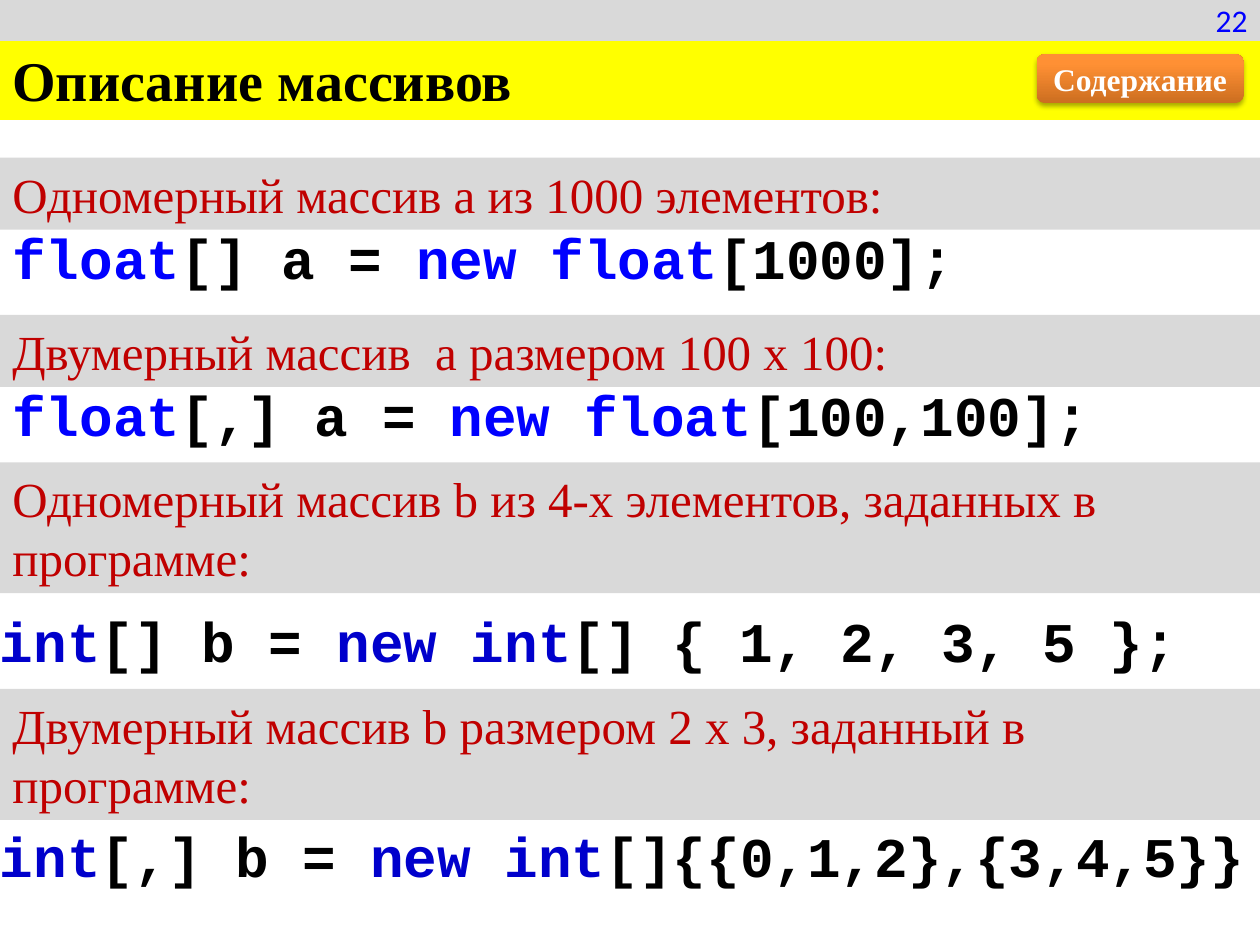
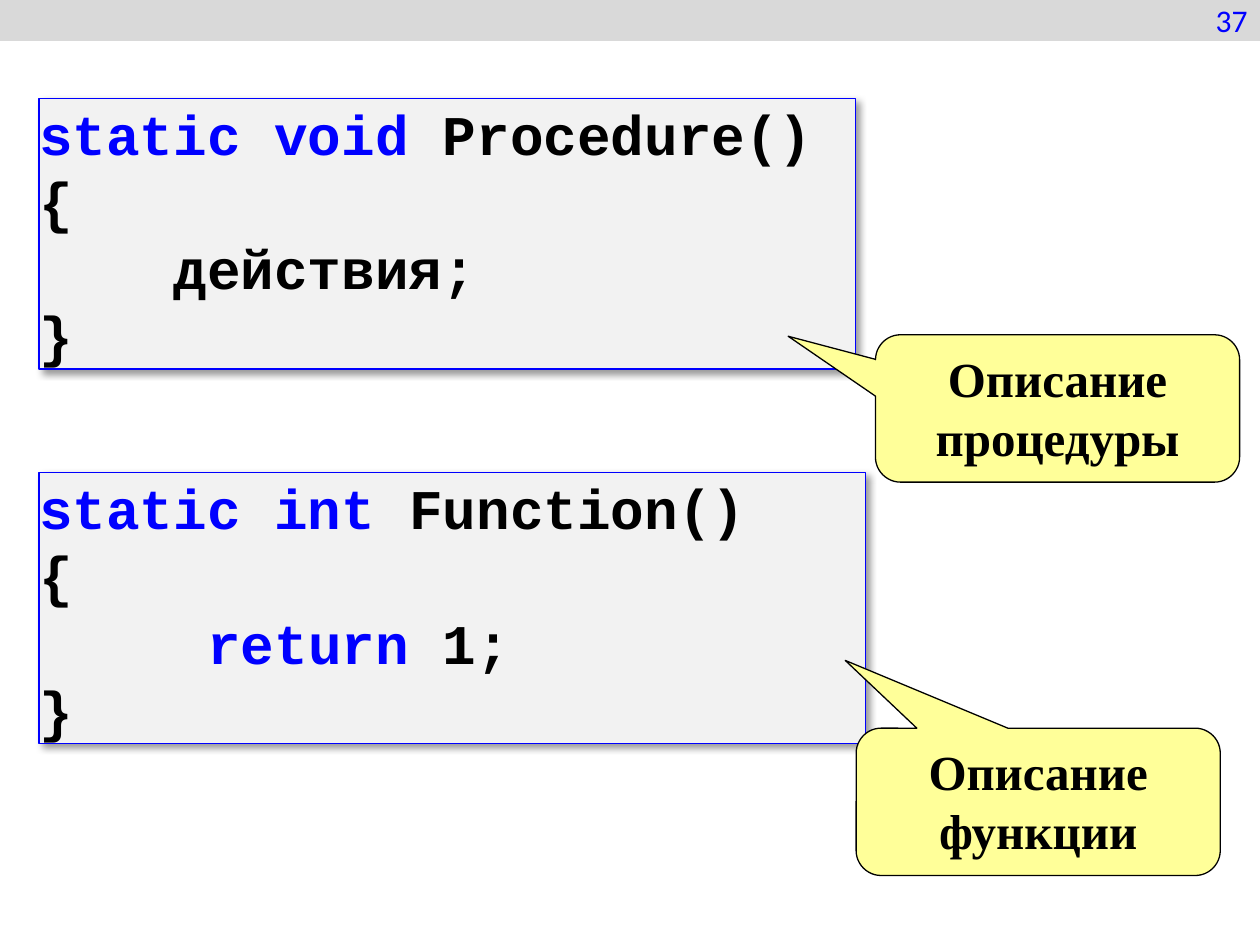
import pptx
import pptx.dml.color
import pptx.enum.shapes
import pptx.enum.text
import pptx.oxml
import pptx.oxml.ns
import pptx.util
from pptx.util import Cm

SHAPES = pptx.enum.shapes.MSO_SHAPE
ALIGN = pptx.enum.text.PP_ALIGN
ANCHOR = pptx.enum.text.MSO_ANCHOR
AUTO_SIZE = pptx.enum.text.MSO_AUTO_SIZE

COLORS = {
    "black": "000000", "white": "FFFFFF", "keyword": "0000FF",
    "dark keyword": "0000CC", "heading": "C00000", "band": "D9D9D9",
    "title": "FFFF00", "code box": "F2F2F2", "callout": "FFFF99",
    "button dark": "CC6E20", "button light": "FF9034",
}
FORMATS = {
    "title": {"name": "Times New Roman", "size": pptx.util.Pt(32), "bold": True},
    "heading": {"name": "Times New Roman", "size": pptx.util.Pt(28), "bold": False},
    "callout": {"name": "Times New Roman", "size": pptx.util.Pt(28), "bold": True},
    "button": {"name": "Times New Roman", "size": pptx.util.Pt(18), "bold": True},
    "number": {"name": "Calibri", "size": pptx.util.Pt(18), "bold": False},
    "code": {"name": "Courier New", "size": pptx.util.Pt(32), "bold": True},
}
WIDTH, HEIGHT = 25.4, 19.05
INSET = (0.25, 0.13)
NO_INSET = (0, 0)


def rgb(name):
    return pptx.dml.color.RGBColor.from_string(COLORS[name])


class Deck:
    def __init__(self):
        self.presentation = pptx.Presentation()
        self.presentation.slide_width = Cm(WIDTH)
        self.presentation.slide_height = Cm(HEIGHT)
        self.slide = None

    def start_slide(self):
        self.slide = self.presentation.slides.add_slide(self.presentation.slide_layouts[6])

    def box(self, kind, place, fill=None, line=None, line_width=0.75):
        shape = self.slide.shapes.add_shape(kind, *map(Cm, place))
        shape.shadow.inherit = False
        if fill:
            shape.fill.solid()
            shape.fill.fore_color.rgb = rgb(fill)
        if line:
            shape.line.color.rgb = rgb(line)
            shape.line.width = pptx.util.Pt(line_width)
        else:
            shape.line.fill.background()
        return shape

    def shadow(self, shape, blur, distance, angle, opacity):
        """Blur and distance in points, angle in degrees, opacity in percent."""
        effects = shape._element.spPr.find(pptx.oxml.ns.qn("a:effectLst"))
        effects.append(pptx.oxml.parse_xml(
            f'<a:outerShdw {pptx.oxml.ns.nsdecls("a")} blurRad="{int(blur * 12700)}" '
            f'dist="{int(distance * 12700)}" dir="{angle * 60000}" algn="tl" rotWithShape="0">'
            f'<a:srgbClr val="{COLORS["black"]}"><a:alpha val="{opacity * 1000}"/></a:srgbClr>'
            '</a:outerShdw>'))

    def frame(self, shape, anchor, inset=INSET, grow=False, wrap=True):
        frame = shape.text_frame
        horizontal, vertical = map(Cm, inset)
        values = {
            "word_wrap": wrap, "vertical_anchor": anchor,
            "auto_size": AUTO_SIZE.SHAPE_TO_FIT_TEXT if grow else AUTO_SIZE.NONE,
            "margin_left": horizontal, "margin_right": horizontal,
            "margin_top": vertical, "margin_bottom": vertical,
        }
        for name, value in values.items():
            setattr(frame, name, value)
        return frame

    def run(self, paragraph, text, style, color):
        run = paragraph.add_run()
        run.text = text
        for name, value in FORMATS[style].items():
            setattr(run.font, name, value)
        run.font.color.rgb = rgb(color)

    def label(self, shape, text, style, color, align=ALIGN.LEFT, anchor=ANCHOR.TOP, grow=False):
        paragraph = self.frame(shape, anchor, grow=grow).paragraphs[0]
        paragraph.alignment = align
        self.run(paragraph, text, style, color)

    def band(self, top, height, text, style="heading", fill="band", color="heading"):
        shape = self.box(SHAPES.RECTANGLE, (0, top, WIDTH, height), fill)
        self.label(shape, text, style, color, grow=True)

    def page_band(self, number):
        shape = self.box(SHAPES.RECTANGLE, (0, 0, WIDTH, 0.79), "band", "band", 2)
        self.label(shape, str(number), "number", "keyword", ALIGN.RIGHT, ANCHOR.MIDDLE)

    def code(self, frame, lines, keyword="keyword"):
        """Text between a pair of @ signs takes the keyword colour."""
        for index, line in enumerate(lines):
            paragraph = frame.add_paragraph() if index else frame.paragraphs[0]
            paragraph.alignment = ALIGN.LEFT
            for position, piece in enumerate(line.split("@")):
                if piece:
                    self.run(paragraph, piece, "code", keyword if position % 2 else "black")

    def code_line(self, place, line, keyword="keyword", **layout):
        shape = self.slide.shapes.add_textbox(*map(Cm, place))
        self.code(self.frame(shape, grow=True, **layout), [line], keyword)

    def code_box(self, top, width, lines):
        shape = self.box(SHAPES.RECTANGLE, (0.79, top, width, 5.46), "code box", "keyword")
        self.shadow(shape, blur=4, distance=3, angle=45, opacity=40)
        self.code(self.frame(shape, ANCHOR.MIDDLE, NO_INSET, grow=True), lines)

    def callout(self, left, top, text, pointer):
        shape = self.box(SHAPES.ROUNDED_RECTANGULAR_CALLOUT, (left, top, 7.34, 2.97),
                         "callout", "black")
        for index, value in enumerate((*pointer, 0.17)):
            shape.adjustments[index] = value
        self.label(shape, text, "callout", "black", ALIGN.CENTER)

    def button(self, place, text):
        shape = self.box(SHAPES.ROUNDED_RECTANGLE, place)
        shape.fill.gradient()
        shape.fill.gradient_angle = 90
        stops = ((0, "button dark"), (0.8, "button light"))
        for stop, (position, color) in zip(shape.fill.gradient_stops, stops):
            stop.position = position
            stop.color.rgb = rgb(color)
        self.shadow(shape, blur=3.1, distance=1.8, angle=90, opacity=35)
        self.label(shape, text, "button", "white", ALIGN.CENTER, ANCHOR.MIDDLE)


def array_slide(deck):
    deck.start_slide()
    deck.code_line((0, 4.37, 19.71, 1.63), "@float@[] a = @new float@[1000];",
                   anchor=ANCHOR.TOP, wrap=False)
    deck.code_line((0, 7.54, WIDTH, 1.63), "@float@[,] a = @new float@[100,100];",
                   anchor=ANCHOR.MIDDLE)
    for top, line in (
        (12.12, "@int@[] b = @new int@[] { 1, 2, 3, 5 };"),
        (16.46, "@int@[,] b = @new int@[]{{0,1,2},{3,4,5}}"),
    ):
        deck.code_line((0, top, WIDTH, 1.55), line, "dark keyword",
                       anchor=ANCHOR.MIDDLE, inset=NO_INSET)
    deck.band(0.79, 1.63, "Описание массивов", "title", "title", "black")
    for top, height, text in (
        (3.18, 1.45, "Одномерный массив а из 1000 элементов:"),
        (6.35, 1.45, "Двумерный массив  а размером 100 х 100:"),
        (9.32, 2.64, "Одномерный массив b из 4-х элементов, заданных в программе:"),
        (13.89, 2.64, "Двумерный массив b размером 2 х 3, заданный в программе:"),
    ):
        deck.band(top, height, text)
    deck.page_band(22)
    deck.button((20.9, 1.09, 4.17, 0.99), "Содержание")


def subroutine_slide(deck):
    deck.start_slide()
    deck.page_band(37)
    deck.code_box(1.98, 16.46, ["@static void @Procedure()", "{", "    действия;", "}"])
    deck.code_box(9.53, 16.66, ["@static int @Function()", "{", "     @return @1;", "}"])
    deck.callout(17.26, 14.68, "Описание функции", (-0.53, -0.96))
    deck.callout(17.65, 6.75, "Описание процедуры", (-0.74, -0.49))


def main():
    deck = Deck()
    array_slide(deck)
    subroutine_slide(deck)
    deck.presentation.save("out.pptx")


if __name__ == "__main__":
    main()
